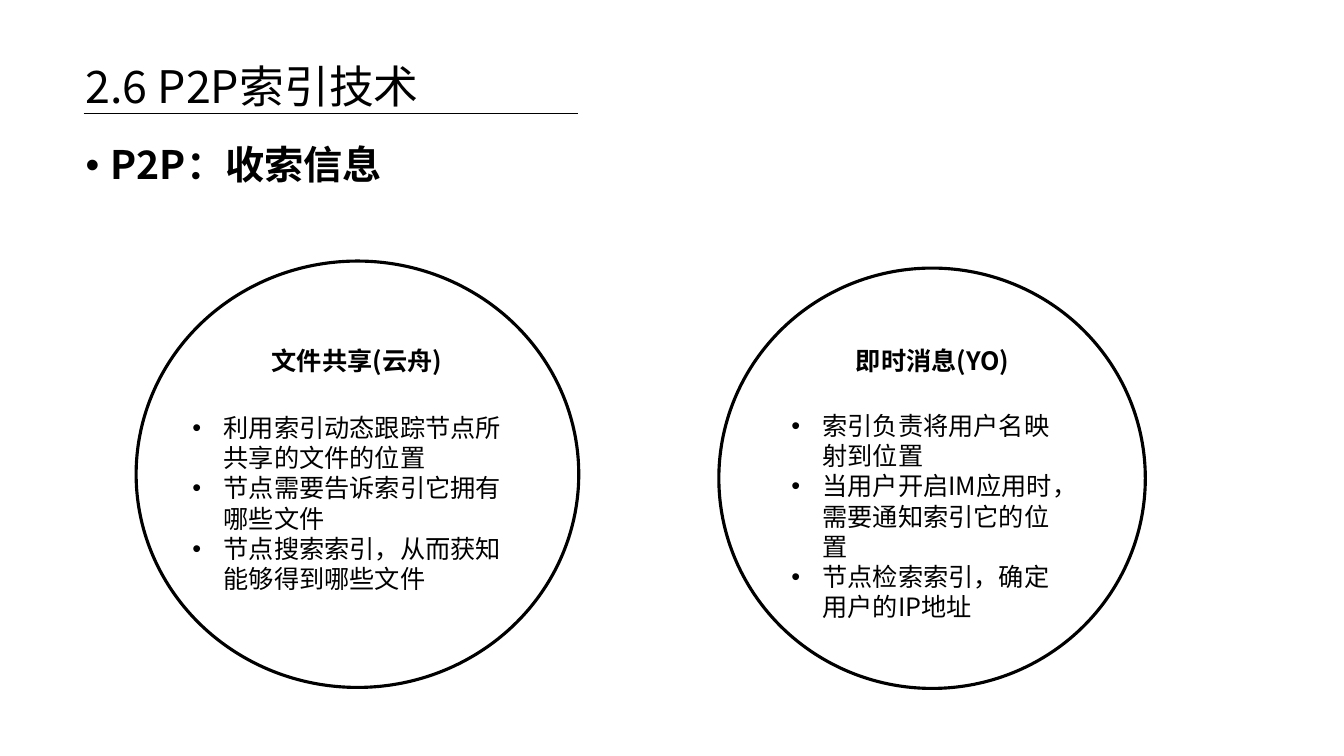
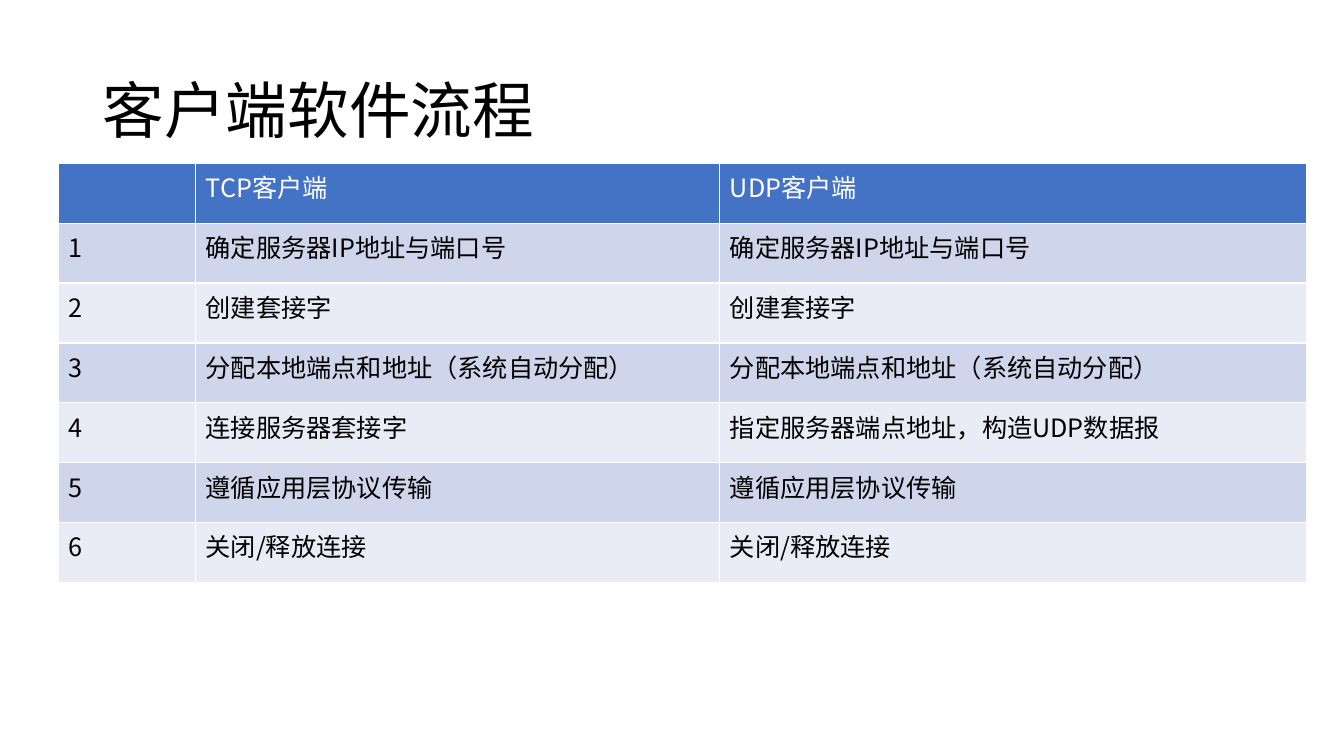
from lxml import etree
from pptx import Presentation
from pptx.dml.color import RGBColor
from pptx.enum.lang import MSO_LANGUAGE_ID
from pptx.enum.shapes import MSO_CONNECTOR, MSO_SHAPE
from pptx.enum.text import MSO_ANCHOR, PP_ALIGN
from pptx.oxml.ns import qn
from pptx.util import Inches, Pt

OVAL = MSO_SHAPE.OVAL
LINE = MSO_CONNECTOR.STRAIGHT
MIDDLE, TOP = MSO_ANCHOR.MIDDLE, MSO_ANCHOR.TOP
LEFT, CENTER = PP_ALIGN.LEFT, PP_ALIGN.CENTER
CHINESE = MSO_LANGUAGE_ID.SIMPLIFIED_CHINESE

WIDTH, HEIGHT = 13.33, 7.5
FONT = "Noto Sans CJK SC"
COLORS = {"ink": "000000", "paper": "FFFFFF", "head": "4472C4",
          "odd": "CFD5EA", "even": "E9EBF5"}

INDEX_TITLE = "2.6 P2P索引技术"
INDEX_TOPIC = "P2P：收索信息"
CIRCLES = [
    {"oval": (1.35, 2.59, 4.39, 4.23), "head": "文件共享(云舟)",
     "head_at": (2.4, 3.32, 2.28, 0.43), "list_at": (1.81, 4.04, 3.49, 1.92),
     "items": ["利用索引动态跟踪节点所共享的文件的位置",
               "节点需要告诉索引它拥有哪些文件",
               "节点搜索索引，从而获知能够得到哪些文件"]},
    {"oval": (7.13, 2.66, 4.23, 4.17), "head": "即时消息(YO)",
     "head_at": (8.11, 3.32, 2.28, 0.43), "list_at": (7.75, 4.02, 3, 2.22),
     "items": ["索引负责将用户名映射到位置",
               "当用户开启IM应用时，需要通知索引它的位置",
               "节点检索索引，确定用户的IP地址"]},
]

FLOW_TITLE = "客户端软件流程"
FLOW_HEAD = ("", "TCP客户端", "UDP客户端")
FLOW_STEPS = [
    ("确定服务器IP地址与端口号", "确定服务器IP地址与端口号"),
    ("创建套接字", "创建套接字"),
    ("分配本地端点和地址（系统自动分配）", "分配本地端点和地址（系统自动分配）"),
    ("连接服务器套接字", "指定服务器端点地址，构造UDP数据报"),
    ("遵循应用层协议传输", "遵循应用层协议传输"),
    ("关闭/释放连接", "关闭/释放连接"),
]
FLOW_AT = (0.58, 1.62, 12.38, 4.16)
FLOW_COLS = (1.36, 5.2, 5.82)


def rgb(name):
    return RGBColor.from_string(COLORS[name])


def inches(place):
    return [Inches(n) for n in place]


def write(frame, lines, size=18, bold=False, color="ink", align=LEFT,
          anchor=TOP, spacing=1.0, before=0, indent=0):
    """Fill a text frame; an indent above zero makes a bulleted list."""
    frame.word_wrap = True
    frame.vertical_anchor = anchor
    for i, line in enumerate(lines):
        para = frame.add_paragraph() if i else frame.paragraphs[0]
        para.alignment, para.line_spacing = align, spacing
        para.space_before = Pt(before)
        if indent:
            props = para._p.get_or_add_pPr()
            props.set("marL", str(Inches(indent)))
            props.set("indent", str(-Inches(indent)))
            etree.SubElement(props, qn("a:buFont"), typeface="Arial")
            etree.SubElement(props, qn("a:buChar"), char="•")
        run = para.add_run()
        run.text = line
        font = run.font
        font.name, font.size, font.bold = FONT, Pt(size), bold
        font.language_id = CHINESE
        font.color.rgb = rgb(color)
        etree.SubElement(font._element, qn("a:ea"), typeface=FONT)


def add_text(slide, place, lines, **style):
    write(slide.shapes.add_textbox(*inches(place)).text_frame, lines, **style)


def add_title(slide, place, text, size):
    add_text(slide, place, [text], size=size, spacing=0.9, anchor=MIDDLE)


def add_rule(slide, start, end):
    rule = slide.shapes.add_connector(LINE, *inches(start + end))
    rule.line.color.rgb = rgb("ink")
    rule.line.width = Pt(0.5)
    etree.SubElement(rule._element.spPr, qn("a:effectLst"))


def add_circle(slide, circle):
    oval = slide.shapes.add_shape(OVAL, *inches(circle["oval"]))
    oval.shadow.inherit = False
    oval.fill.background()
    oval.line.color.rgb = rgb("ink")
    oval.line.width = Pt(2.25)
    add_text(slide, circle["head_at"], [circle["head"]], bold=True,
             align=CENTER, spacing=1.2)
    add_text(slide, circle["list_at"], circle["items"], indent=0.31)


def add_borders(cell):
    props = cell._tc.get_or_add_tcPr()
    for side in ("lnL", "lnR", "lnT", "lnB"):
        edge = etree.SubElement(props, qn("a:" + side), w=str(Pt(1)))
        fill = etree.SubElement(edge, qn("a:solidFill"))
        etree.SubElement(fill, qn("a:srgbClr"), val=COLORS["paper"])


def add_table(slide, rows):
    table = slide.shapes.add_table(len(rows), len(FLOW_COLS),
                                   *inches(FLOW_AT)).table
    for col, width in zip(table.columns, FLOW_COLS):
        col.width = Inches(width)
    for r, row in enumerate(rows):
        shade = "head" if r == 0 else "odd" if r % 2 else "even"
        for c, text in enumerate(row):
            cell = table.cell(r, c)
            add_borders(cell)
            cell.fill.solid()
            cell.fill.fore_color.rgb = rgb(shade)
            if text:
                write(cell.text_frame, [text],
                      color="ink" if r else "paper")


def build_index(slide):
    add_title(slide, (0.75, 0.6, 11.87, 0.57), INDEX_TITLE, 32)
    add_text(slide, (0.75, 1.4, 11.87, 0.7), [INDEX_TOPIC], size=28,
             bold=True, spacing=0.9, before=10, indent=0.25)
    for circle in CIRCLES:
        add_circle(slide, circle)
    add_rule(slide, (0.83, 1.12), (5.73, 1.12))


def build_flow(slide):
    add_title(slide, (0.92, 0.4, 11.5, 1.45), FLOW_TITLE, 44)
    steps = [(str(n), *step) for n, step in enumerate(FLOW_STEPS, 1)]
    add_table(slide, [FLOW_HEAD] + steps)


def main():
    deck = Presentation()
    deck.slide_width, deck.slide_height = inches((WIDTH, HEIGHT))
    for build in (build_index, build_flow):
        build(deck.slides.add_slide(deck.slide_layouts[6]))
    deck.save("out.pptx")


if __name__ == "__main__":
    main()
